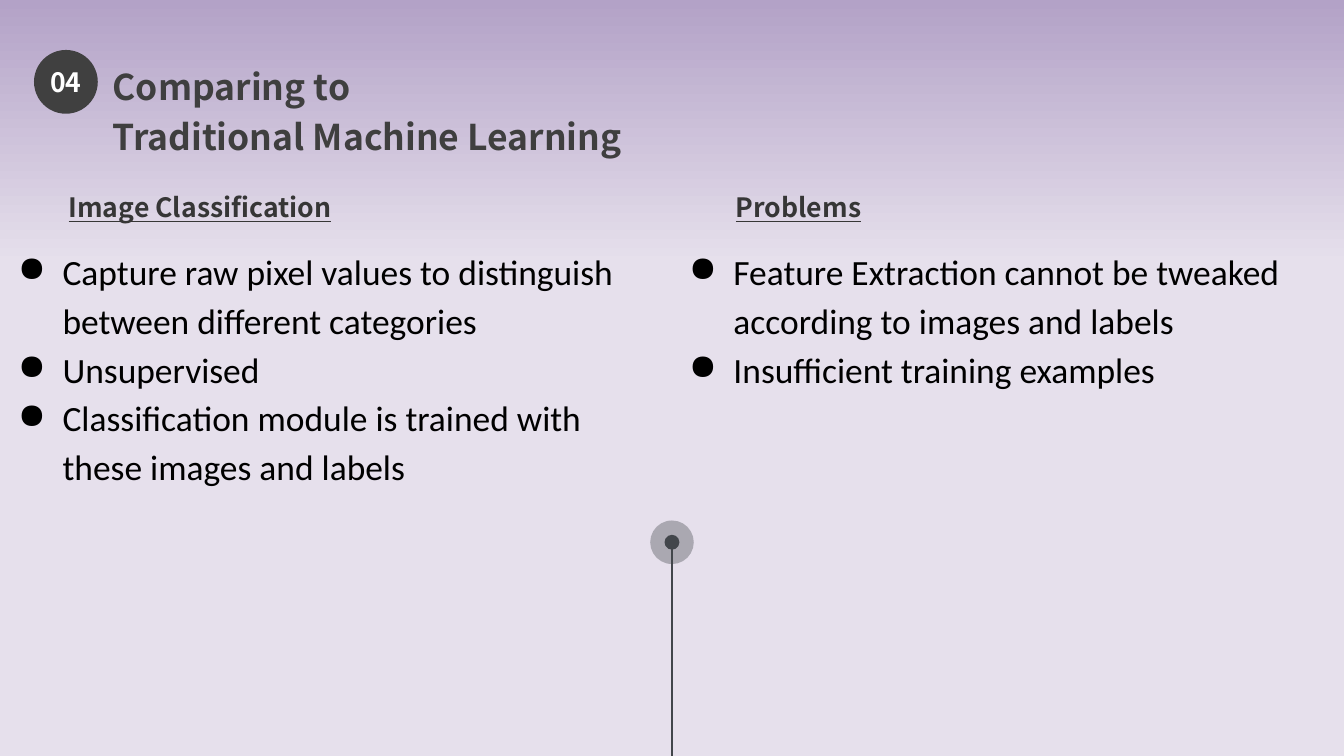
from copy import deepcopy
from dataclasses import dataclass

from lxml.etree import SubElement
from pptx import Presentation
from pptx.dml.color import RGBColor
from pptx.enum.shapes import MSO_CONNECTOR, MSO_SHAPE as Preset
from pptx.enum.text import MSO_ANCHOR as Anchor, MSO_AUTO_SIZE as AutoSize, PP_ALIGN as Align
from pptx.oxml.ns import qn
from pptx.util import Inches, Pt

COLORS = {
    "sky": "B3A2C7", "ground": "E6E0EC", "title": "3F3F3F", "badge": "404040",
    "heading": "363636", "body": "000000", "white": "FFFFFF", "pin": "42464B",
}
HEAD_FONT, BODY_FONT = "Noto Sans CJK SC", "Calibri"
PIN_X, PIN_Y = 6.32, 5.1


@dataclass
class Column:
    heading: str
    heading_left: float
    left: float
    width: float
    points: list[str]


@dataclass
class Disc:
    x: float
    y: float
    diameter: float
    color: str
    alpha: int = 100


COLUMNS = [
    Column("Image Classification", -2.33, -0.01, 6.18, [
        "Capture raw pixel values to distinguish between different categories",
        "Unsupervised",
        "Classification module is trained with these images and labels",
    ]),
    Column("Problems", 3.3, 6.3, 6.32, [
        "Feature Extraction cannot be tweaked according to images and labels",
        "Insufficient training examples",
    ]),
]
BADGE = Disc(0.62, 0.77, 0.6, "badge")
PIN_DOT = Disc(PIN_X, PIN_Y, 0.14, "pin")
PIN_HALO = Disc(PIN_X, PIN_Y, 0.41, "pin", alpha=36)


def rgb(name: str) -> RGBColor:
    return RGBColor.from_string(COLORS[name])


def style(paragraph, size: int, color: str, font=HEAD_FONT, bold=True,
          align=Align.LEFT, spacing=1.16) -> None:
    paragraph.alignment = align
    paragraph.line_spacing = spacing
    paragraph.space_before = paragraph.space_after = Pt(0)
    paragraph.font.name, paragraph.font.size = font, Pt(size)
    paragraph.font.bold = bold
    paragraph.font.color.rgb = rgb(color)


def set_frame(frame, side: float, edge: float, anchor=Anchor.TOP) -> None:
    frame.word_wrap = True
    frame.auto_size = AutoSize.NONE
    frame.vertical_anchor = anchor
    frame.margin_left = frame.margin_right = Inches(side)
    frame.margin_top = frame.margin_bottom = Inches(edge)


def add_bullet(paragraph) -> None:
    props = paragraph._p.get_or_add_pPr()
    props.set("marL", str(Inches(0.5)))
    props.set("indent", str(Inches(-0.42)))
    bullet_color = SubElement(props, qn("a:buClr"))
    SubElement(bullet_color, qn("a:srgbClr"), val=COLORS["body"])
    SubElement(props, qn("a:buChar"), char="●")


def add_disc(slide, disc: Disc):
    radius = disc.diameter / 2
    oval = slide.shapes.add_shape(
        Preset.OVAL, Inches(disc.x - radius), Inches(disc.y - radius),
        Inches(disc.diameter), Inches(disc.diameter))
    oval.shadow.inherit = False
    oval.fill.solid()
    oval.fill.fore_color.rgb = rgb(disc.color)
    oval.line.fill.background()
    if disc.alpha < 100:
        color = oval._element.spPr.find(f"{qn('a:solidFill')}/{qn('a:srgbClr')}")
        SubElement(color, qn("a:alpha"), val=str(disc.alpha * 1000))
    return oval


def add_column(slide, column: Column) -> None:
    heading = slide.shapes.add_textbox(
        Inches(column.heading_left), Inches(1.68), Inches(8.42), Inches(0.51)).text_frame
    set_frame(heading, 0.14, 0.07)
    heading.text = column.heading
    style(heading.paragraphs[0], 18, "heading", align=Align.CENTER)
    heading.paragraphs[0].font.underline = True

    body = slide.shapes.add_textbox(
        Inches(column.left), Inches(2.19), Inches(column.width), Inches(3.4)).text_frame
    set_frame(body, 0.1, 0.1)
    body.text = "\n".join(column.points)
    for point in body.paragraphs:
        add_bullet(point)
        style(point, 24, "body", font=BODY_FONT, bold=False, spacing=1.15)


def paint_background(slide) -> None:
    fill = slide.background.fill
    fill.gradient()
    fill.gradient_angle = 270
    top, middle = fill.gradient_stops
    top.color.rgb, top.position = rgb("sky"), 0
    middle.color.rgb, middle.position = rgb("ground"), 0.35
    stops = slide._element.find(f".//{qn('a:gsLst')}")
    bottom = deepcopy(stops[-1])
    bottom.set("pos", "100000")
    stops.append(bottom)


def main() -> None:
    deck = Presentation()
    deck.slide_width, deck.slide_height = Inches(12.64), Inches(7.11)
    slide = deck.slides.add_slide(deck.slide_layouts[5])
    paint_background(slide)

    # Title and its number
    title = slide.shapes.title
    title.left, title.top = Inches(0.92), Inches(0.48)
    title.width, title.height = Inches(5.24), Inches(0.58)
    set_frame(title.text_frame, 0.14, 0.07)
    title.text_frame.text = "Comparing to\nTraditional Machine Learning"
    for line in title.text_frame.paragraphs:
        style(line, 24, "title")

    number = add_disc(slide, BADGE).text_frame
    set_frame(number, 0, 0, Anchor.MIDDLE)
    number.text = "04"
    style(number.paragraphs[0], 18, "white", align=Align.CENTER, spacing=1.0)

    # Two columns
    for column in COLUMNS:
        add_column(slide, column)

    # Pin rising from the bottom edge
    stem = slide.shapes.add_connector(
        MSO_CONNECTOR.STRAIGHT, Inches(PIN_X), Inches(5.16), Inches(PIN_X), deck.slide_height)
    stem.line.color.rgb = rgb("pin")
    stem.line.width = Pt(0.75)
    SubElement(stem._element.spPr, qn("a:effectLst"))
    for disc in (PIN_DOT, PIN_HALO):
        add_disc(slide, disc)

    deck.save("out.pptx")


if __name__ == "__main__":
    main()
